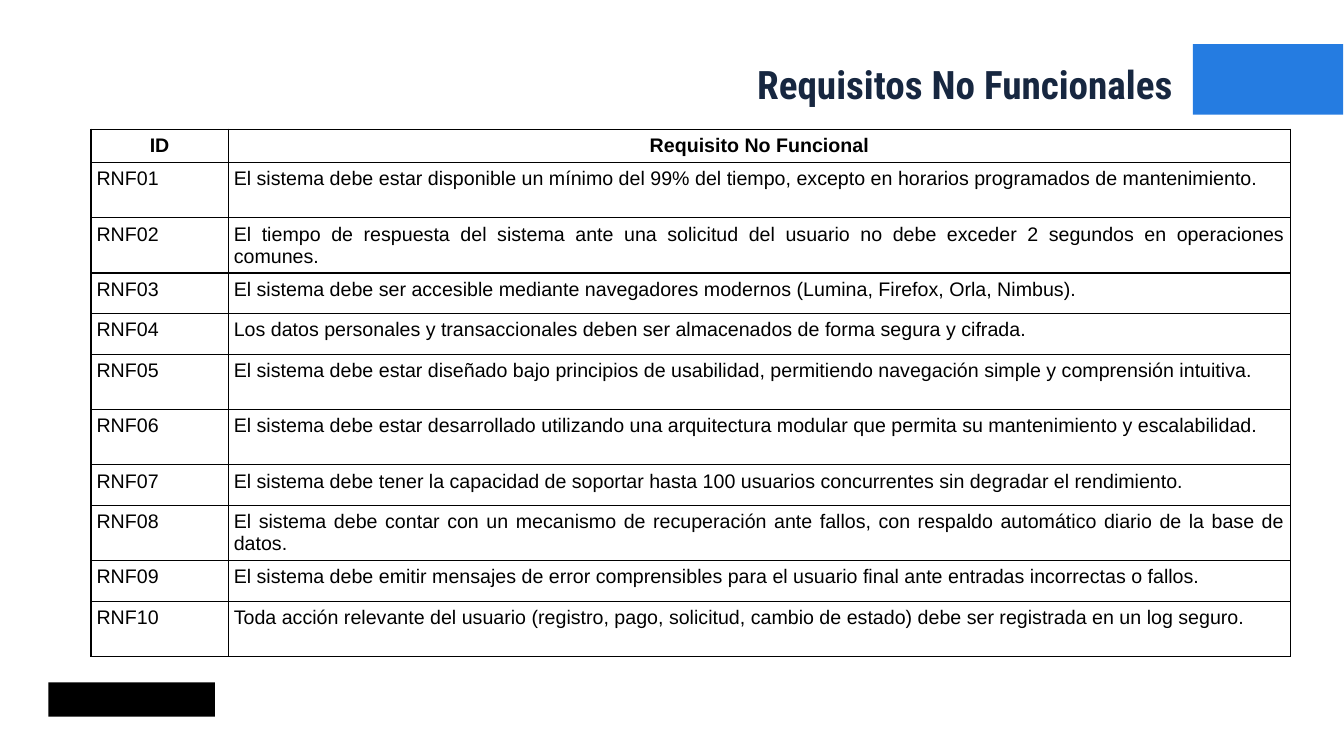
import lxml.etree
import pptx
import pptx.dml.color
import pptx.enum.shapes
import pptx.enum.text
import pptx.oxml
import pptx.oxml.ns
import pptx.util

Pt = pptx.util.Pt
RGBColor = pptx.dml.color.RGBColor
ALIGN = pptx.enum.text.PP_ALIGN

BLACK = RGBColor(0x00, 0x00, 0x00)
BLUE = RGBColor(0x25, 0x7C, 0xE1)
NAVY = RGBColor(0x17, 0x27, 0x40)

HEADER_HEIGHT = 23.6
SHORT_ROW = 29
TALL_ROW = 39.5
CELL_MARGIN = 4

REQUIREMENTS = [
    (TALL_ROW, "El sistema debe estar disponible un mínimo del 99% del tiempo, "
               "excepto en horarios programados de mantenimiento."),
    (TALL_ROW, "El tiempo de respuesta del sistema ante una solicitud del usuario "
               "no debe exceder 2 segundos en operaciones comunes."),
    (SHORT_ROW, "El sistema debe ser accesible mediante navegadores modernos "
                "(Lumina, Firefox, Orla, Nimbus)."),
    (SHORT_ROW, "Los datos personales y transaccionales deben ser almacenados "
                "de forma segura y cifrada."),
    (TALL_ROW, "El sistema debe estar diseñado bajo principios de usabilidad, "
               "permitiendo navegación simple y comprensión intuitiva."),
    (TALL_ROW, "El sistema debe estar desarrollado utilizando una arquitectura "
               "modular que permita su mantenimiento y escalabilidad."),
    (SHORT_ROW, "El sistema debe tener la capacidad de soportar hasta 100 usuarios "
                "concurrentes sin degradar el rendimiento."),
    (TALL_ROW, "El sistema debe contar con un mecanismo de recuperación ante fallos, "
               "con respaldo automático diario de la base de datos."),
    (SHORT_ROW, "El sistema debe emitir mensajes de error comprensibles para el "
                "usuario final ante entradas incorrectas o fallos."),
    (TALL_ROW, "Toda acción relevante del usuario (registro, pago, solicitud, cambio "
               "de estado) debe ser registrada en un log seguro."),
]


def add_block(slide, left, top, width, height, color):
    block = slide.shapes.add_shape(
        pptx.enum.shapes.MSO_SHAPE.RECTANGLE, Pt(left), Pt(top), Pt(width), Pt(height))
    block.shadow.inherit = False
    block.fill.solid()
    block.fill.fore_color.rgb = color
    block.line.fill.background()


def set_borders(cell, width, color):
    """Draw the same solid line on all four sides of a cell."""
    properties = cell._tc.get_or_add_tcPr()
    for position, side in enumerate(("lnL", "lnR", "lnT", "lnB")):
        line = lxml.etree.Element(pptx.oxml.ns.qn("a:" + side), w=str(Pt(width)))
        fill = lxml.etree.SubElement(line, pptx.oxml.ns.qn("a:solidFill"))
        lxml.etree.SubElement(fill, pptx.oxml.ns.qn("a:srgbClr"), val=str(color))
        properties.insert(position, line)


deck = pptx.Presentation()
deck.slide_width, deck.slide_height = Pt(960), Pt(540)
slide = deck.slides.add_slide(deck.slide_layouts[5])

# Logo placeholder and header accent
add_block(slide, 34.5, 487.5, 119, 24.5, BLACK)
add_block(slide, 852, 31.5, 107.5, 50.5, BLUE)

# Title
title = slide.shapes.title
title.left, title.top, title.width, title.height = Pt(377.5), Pt(43.2), Pt(467), Pt(73.5)
frame = title.text_frame
frame.text = "Requisitos No Funcionales"
frame.word_wrap = True
frame.auto_size = pptx.enum.text.MSO_AUTO_SIZE.NONE
frame.vertical_anchor = pptx.enum.text.MSO_ANCHOR.TOP
para = frame.paragraphs[0]
para.alignment = ALIGN.RIGHT
para.line_spacing = 0.9
para.font.name = "Roboto Condensed"
para.font.size = Pt(28)
para.font.bold = True
para.font.color.rgb = NAVY

# Requirements table
rows = [(HEADER_HEIGHT, "ID", "Requisito No Funcional")]
for number, (height, requirement) in enumerate(REQUIREMENTS, start=1):
    rows.append((height, f"RNF{number:02d}", requirement))

table_height = sum(row[0] for row in rows)
table = slide.shapes.add_table(
    len(rows), 2, Pt(65), Pt(92.2), Pt(857), Pt(table_height)).table
table.horz_banding = False
table.columns[0].width = Pt(98)
table.columns[1].width = Pt(759)

for row_index, (height, *texts) in enumerate(rows):
    is_header = row_index == 0
    table.rows[row_index].height = Pt(height)
    for column_index, text in enumerate(texts):
        cell = table.cell(row_index, column_index)
        cell.text = text
        cell.margin_left = cell.margin_right = Pt(CELL_MARGIN)
        cell.margin_top = cell.margin_bottom = Pt(CELL_MARGIN)
        cell.fill.background()
        set_borders(cell, 1, BLACK)
        para = cell.text_frame.paragraphs[0]
        para.alignment = ALIGN.CENTER if is_header else ALIGN.JUSTIFY
        para.font.name = "Arial"
        para.font.size = Pt(14)
        para.font.bold = is_header
        para.font.color.rgb = BLACK

deck.save("out.pptx")
